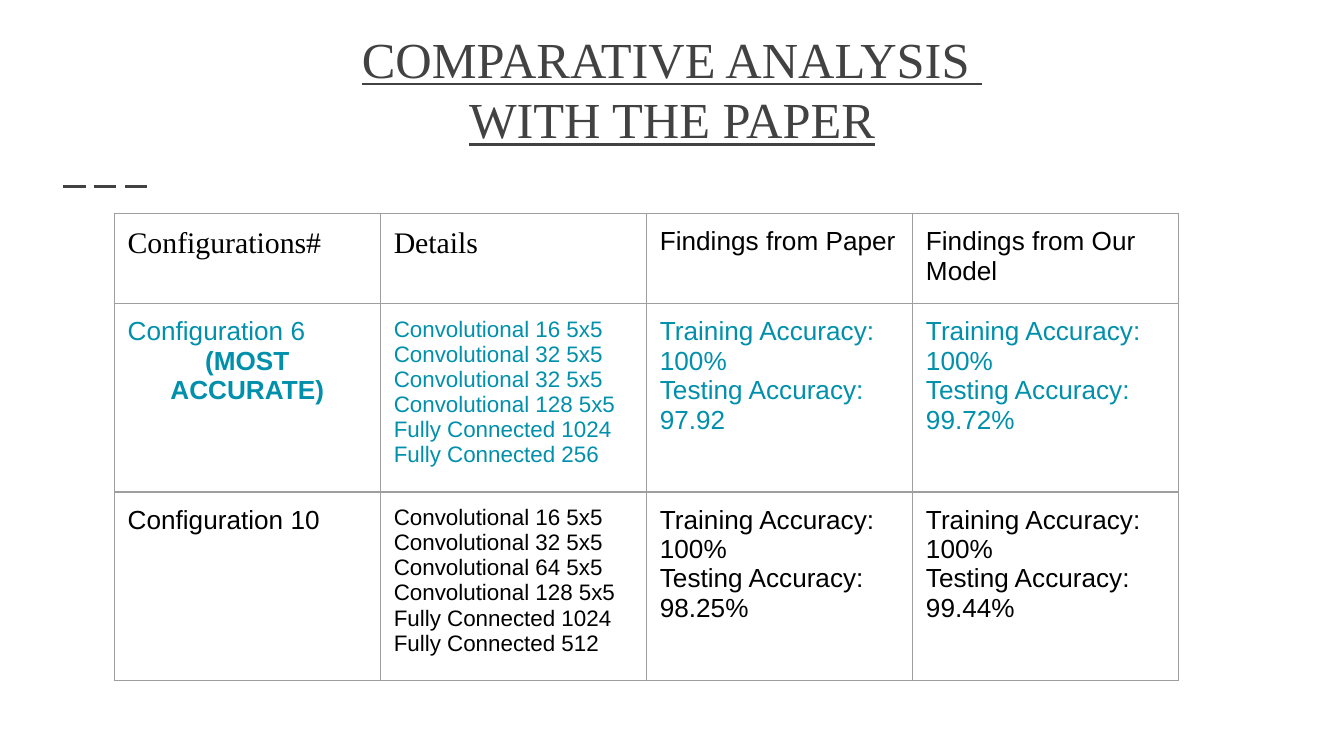
from lxml.etree import SubElement
from pptx import Presentation
from pptx.dml.color import RGBColor
from pptx.enum.dml import MSO_LINE
from pptx.enum.shapes import MSO_CONNECTOR
from pptx.enum.text import MSO_ANCHOR, PP_ALIGN
from pptx.oxml import parse_xml
from pptx.oxml.ns import nsdecls, qn
from pptx.util import Inches, Pt

SERIF, SANS = "Times New Roman", "Arial"
GRAY, BLACK, TEAL, WHITE, GRID = "424242", "000000", "0090AC", "FFFFFF", "9E9E9E"
PADDING = 0.1
COLUMN_WIDTH = 1.98
ROW_HEIGHTS = [0.67, 1.04, 1.04]

HEADINGS = [
    ("Configurations#", SERIF, 16),
    ("Details", SERIF, 16),
    ("Findings from Paper", SANS, 14),
    ("Findings from Our Model", SANS, 14),
]
CONFIGURATIONS = [
    (TEAL, ["Configuration 6", "(MOST ACCURATE)"], [16, 32, 32, 128], [1024, 256], "97.92", "99.72%"),
    (BLACK, ["Configuration 10"], [16, 32, 64, 128], [1024, 512], "98.25%", "99.44%"),
]


def rgb(value):
    return RGBColor.from_string(value)


def pad(frame):
    frame.margin_left = frame.margin_right = Inches(PADDING)
    frame.margin_top = frame.margin_bottom = Inches(PADDING)


def write(frame, lines, font_name, size, color):
    frame.text = "\n".join(lines)
    for paragraph in frame.paragraphs:
        for run in paragraph.runs:
            font = run.font
            font.name, font.size, font.bold = font_name, Pt(size), False
            font.color.rgb = rgb(color)


def add_title(slide, lines):
    title = slide.shapes.add_textbox(Inches(0.34), Inches(0.41), Inches(9.32), Inches(0.8))
    frame = title.text_frame
    frame.word_wrap = True
    frame.vertical_anchor = MSO_ANCHOR.BOTTOM
    pad(frame)
    write(frame, lines, SERIF, 27, GRAY)
    for paragraph in frame.paragraphs:
        paragraph.alignment = PP_ALIGN.CENTER
        paragraph.runs[0].font.underline = True


def add_dashes(slide):
    dashes = slide.shapes.add_connector(
        MSO_CONNECTOR.STRAIGHT, Inches(0.47), Inches(1.39), Inches(1.14), Inches(1.39))
    dashes.line.color.rgb = rgb(GRAY)
    dashes.line.width = Pt(1.5)
    dashes.line.dash_style = MSO_LINE.LONG_DASH
    SubElement(dashes._element.spPr, qn("a:effectLst"))


def add_borders(cell):
    properties = cell._tc.get_or_add_tcPr()
    for position, side in enumerate(("lnL", "lnR", "lnT", "lnB")):
        border = parse_xml(
            f'<a:{side} {nsdecls("a")} w="{Pt(0.75)}"><a:solidFill>'
            f'<a:srgbClr val="{GRID}"/></a:solidFill></a:{side}>')
        properties.insert(position, border)


def fill_cell(cell, lines, font_name, size, color):
    pad(cell)
    cell.vertical_anchor = MSO_ANCHOR.TOP
    cell.fill.solid()
    cell.fill.fore_color.rgb = rgb(WHITE)
    add_borders(cell)
    write(cell.text_frame, lines, font_name, size, color)


def accuracy(testing):
    return ["Training Accuracy: 100%", f"Testing Accuracy: {testing}"]


def add_comparison(slide):
    table = slide.shapes.add_table(
        len(ROW_HEIGHTS), len(HEADINGS), Inches(0.85), Inches(1.59),
        Inches(COLUMN_WIDTH * len(HEADINGS)), Inches(sum(ROW_HEIGHTS))).table
    table.first_row = table.horz_banding = False
    for column in table.columns:
        column.width = Inches(COLUMN_WIDTH)
    for row, height in zip(table.rows, ROW_HEIGHTS):
        row.height = Inches(height)

    for column, (heading, font_name, size) in enumerate(HEADINGS):
        fill_cell(table.cell(0, column), [heading], font_name, size, BLACK)

    for row, (color, name, filters, units, paper, model) in enumerate(CONFIGURATIONS, 1):
        layers = [f"Convolutional {count} 5x5" for count in filters]
        layers += [f"Fully Connected {count}" for count in units]
        contents = [(name, 14), (layers, 12), (accuracy(paper), 14), (accuracy(model), 14)]
        for column, (lines, size) in enumerate(contents):
            fill_cell(table.cell(row, column), lines, SANS, size, color)

    remark = table.cell(1, 0).text_frame.paragraphs[1]
    remark.alignment = PP_ALIGN.CENTER
    remark.runs[0].font.bold = True


def main():
    deck = Presentation()
    deck.slide_width = Inches(10)
    deck.slide_height = deck.slide_width * 9 // 16
    slide = deck.slides.add_slide(deck.slide_layouts[6])
    add_dashes(slide)
    add_title(slide, ["COMPARATIVE ANALYSIS ", "WITH THE PAPER"])
    add_comparison(slide)
    deck.save("out.pptx")


if __name__ == "__main__":
    main()
